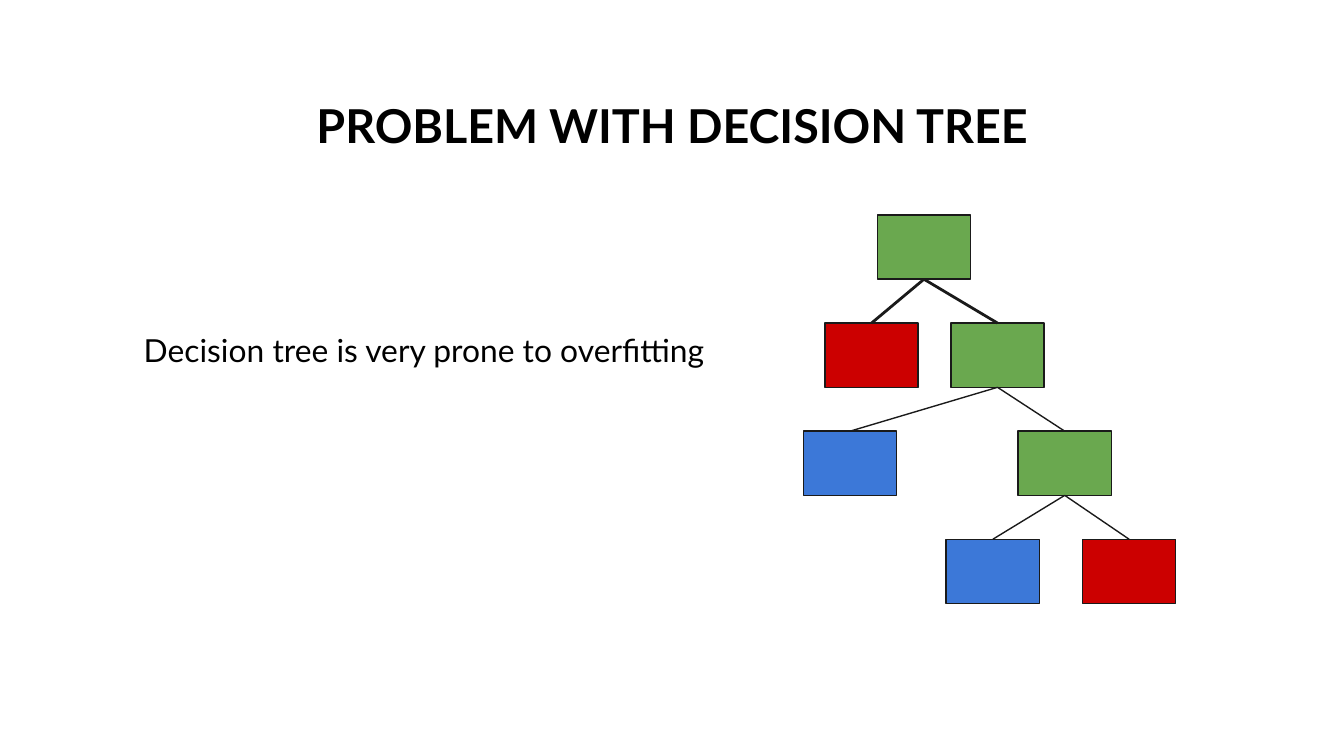
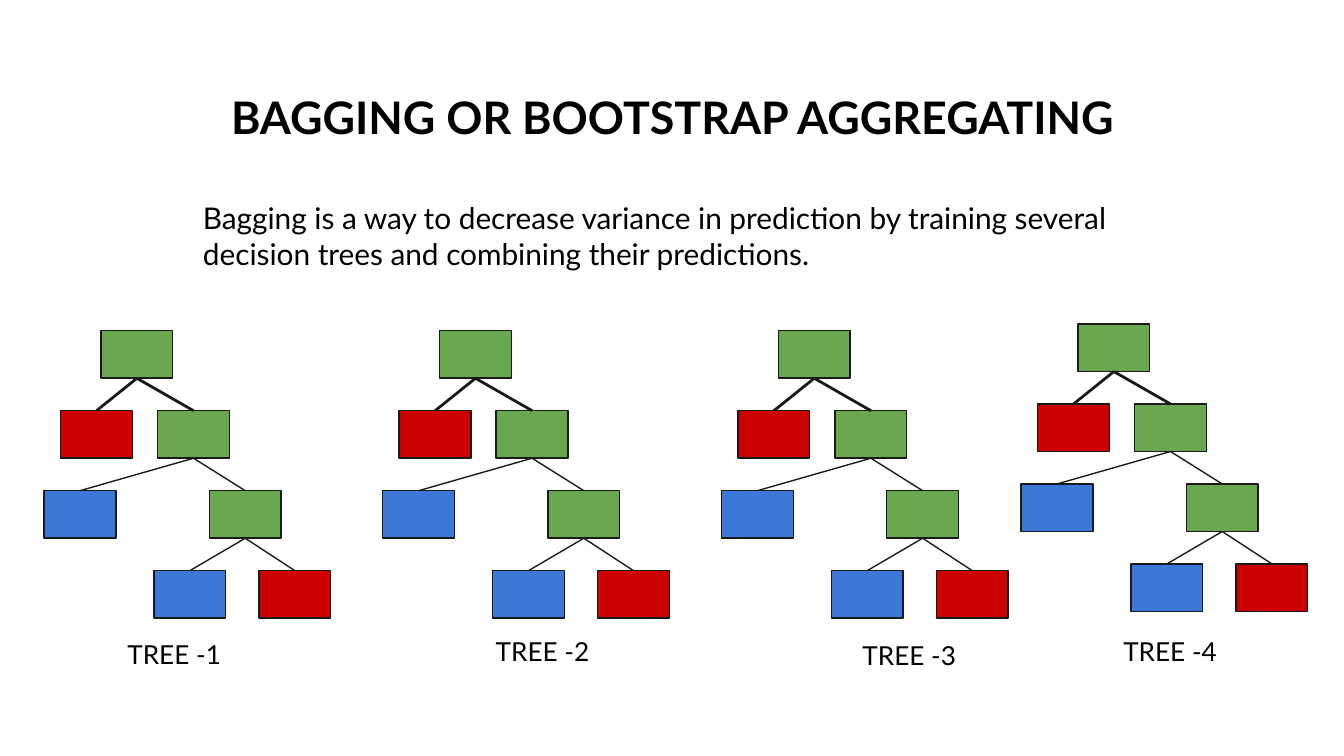
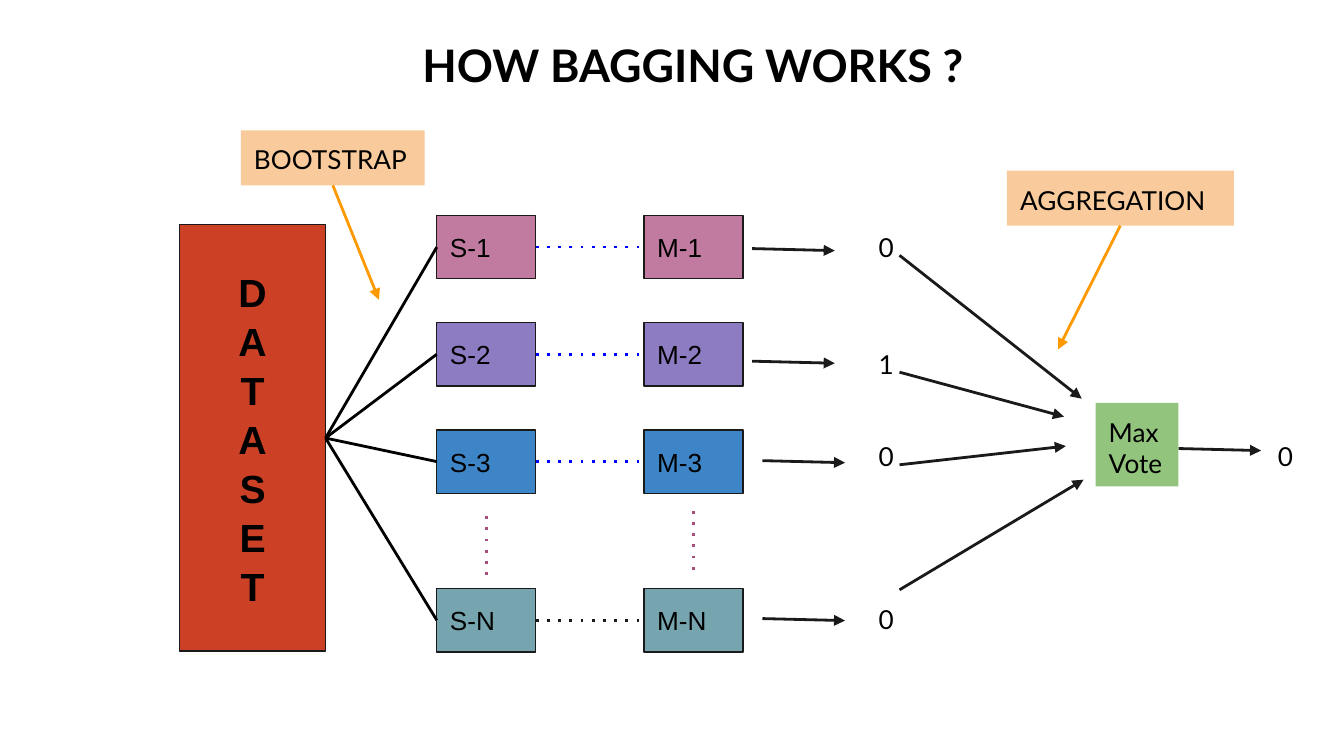
import lxml.etree
import pptx
import pptx.dml.color
import pptx.enum.shapes
import pptx.enum.text
import pptx.oxml.ns
import pptx.util

Pt = pptx.util.Pt
qn = pptx.oxml.ns.qn
ALIGN = pptx.enum.text.PP_ALIGN
ANCHOR = pptx.enum.text.MSO_ANCHOR

# Shared look
COLORS = {
    "text": "000000", "ink": "1A1A1A", "green": "6AA84F", "blue": "3C78D8",
    "red": "CC0000", "dataset": "CC4125", "pink": "C27BA0", "purple": "8E7CC3",
    "azure": "3D85C6", "teal": "76A5AF", "plum": "A64D79", "link": "0000FF",
    "vote": "93C47D", "peach": "F9CB9C", "orange": "FF9900",
}
INSET = 7.2
THIN, THICK = 0.75, 1.5

# Slides 1 and 2: text as (words, box, size)
PROBLEM_TITLE = ("PROBLEM WITH DECISION TREE", (157.5, 44.6, 405, 51), 25)
PROBLEM_BODY = ("Decision tree is very prone to overfitting", (69.8, 170, 322.6, 41), 17)
BAGGING_TITLE = ("BAGGING OR BOOTSTRAP AGGREGATING", (107.8, 41, 504.7, 43.2), 24)
BAGGING_BODY = (
    "Bagging is a way to decrease variance in prediction by training several "
    "decision trees and combining their predictions.",
    (101.5, 100, 507.6, 62), 16)

# Decision tree at full size: node -> (colour, left, level)
TREE_NODES = {
    "root": ("green", 39.6, 0),
    "root no": ("red", 11.5, 1),
    "root yes": ("green", 79, 1),
    "middle no": ("blue", 0, 2),
    "middle yes": ("green", 115, 2),
    "low no": ("blue", 76.5, 3),
    "low yes": ("red", 149.5, 3),
}
TREE_EDGES = [
    ("root", "root no", THICK), ("root", "root yes", THICK),
    ("root yes", "middle no", THIN), ("root yes", "middle yes", THIN),
    ("middle yes", "low no", THIN), ("middle yes", "low yes", THIN),
]
NODE_W, NODE_H, LEVEL_STEP = 50, 34.4, 57.9

PROBLEM_TREE_AT = (430.4, 115.2)
FOREST_SCALE = (0.77, 0.74)
FOREST = [  # label, tree corner, label corner
    ("TREE -1", (23.6, 177.2), (61.2, 334.8)),
    ("TREE -2", (205, 177.2), (258.5, 333.4)),
    ("TREE -3", (386.5, 177.2), (455, 335.5)),
    ("TREE -4", (547, 173.6), (594.7, 333.4)),
]

# Slide 3
WORKS_TITLE = ("HOW BAGGING WORKS ?", (118.8, 13, 504.7, 43.2), 24)
DATASET = ("D\vA\vT\vA\nS\nE\nT", (96.2, 120.4, 78.2, 228.5))
HUB = (174.4, 234.7)
SAMPLE_X, MODEL_X, BOX_W, BOX_H = 234, 345, 53, 34
VOTE_X, VOTE_W, VOTE_H = 463.7, 36, 20
AIM_X = 481.9
ARROW_RUN = (44.2, 1.1)
ROWS = [  # suffix, colour, box top, link, arrow start, vote, vote top, aim from y, aim to
    ("1", "pink", 115.4, "link", (403, 133.2), "0", 116.6, 136.8, (579.5, 213.6)),
    ("2", "purple", 172.8, "link", (403, 193.5), "1", 179.3, 199.4, (570, 223.2)),
    ("3", "azure", 230.3, "link", (408.5, 246.8), "0", 229, 249, (571, 239)),
    ("N", "teal", 315.3, "ink", (408.5, 331.4), "0", 316, 316, (580.5, 257)),
]
MORE_ROWS = [(SAMPLE_X, 276.5), (MODEL_X, 273.6)]
MORE_LENGTH = 31.7
MAX_VOTE = ("Max Vote", (586.9, 215.9, 44.4, 44.7))
VERDICT_ARROW = (631.4, 240.3)
VERDICT = ("0", (677.5, 229, VOTE_W, VOTE_H))
CALLOUTS = [  # label, box, arrow end
    ("BOOTSTRAP", (129, 69.8, 98.6, 29.5), (203, 160.6)),
    ("AGGREGATION", (539.4, 91.4, 121.6, 29.5), (566.8, 187.2)),
]


def rgb(name):
    return pptx.dml.color.RGBColor.from_string(COLORS[name])


def write(shape, words, size, font="Lato", bold=False, align=ALIGN.LEFT,
          anchor=ANCHOR.TOP, spacing=1.0):
    frame = shape.text_frame
    frame.text = words
    frame.word_wrap = True
    frame.auto_size = pptx.enum.text.MSO_AUTO_SIZE.NONE
    frame.vertical_anchor = anchor
    frame.margin_left = frame.margin_right = Pt(INSET)
    frame.margin_top = frame.margin_bottom = Pt(INSET)
    for paragraph in frame.paragraphs:
        paragraph.alignment = align
        paragraph.line_spacing = spacing
        paragraph.space_before = paragraph.space_after = Pt(0)
        paragraph.font.name = font
        paragraph.font.size = Pt(size)
        paragraph.font.bold = bold
        paragraph.font.color.rgb = rgb("text")


def place(shape, box):
    shape.left, shape.top, shape.width, shape.height = map(Pt, box)


def add_slide(deck, layout, title, body=None):
    slide = deck.slides.add_slide(deck.slide_layouts[layout])
    words, box, size = title
    place(slide.shapes.title, box)
    write(slide.shapes.title, words, size, bold=True, align=ALIGN.CENTER)
    if body:
        words, box, size = body
        statement = slide.placeholders[1]
        place(statement, box)
        write(statement, words, size)
        for paragraph in statement.text_frame.paragraphs:
            props = paragraph._p.get_or_add_pPr()
            props.set("marL", "0")
            props.set("indent", "0")
            lxml.etree.SubElement(props, qn("a:buNone"))
    return slide


def add_label(slide, words, box):
    write(slide.shapes.add_textbox(*map(Pt, box)), words, 14)


def add_box(slide, box, fill, outlined=True):
    rect = slide.shapes.add_shape(
        pptx.enum.shapes.MSO_SHAPE.RECTANGLE, *map(Pt, box))
    rect.shadow.inherit = False
    rect.fill.solid()
    rect.fill.fore_color.rgb = rgb(fill)
    if outlined:
        rect.line.color.rgb = rgb("ink")
        rect.line.width = Pt(THIN)
    else:
        rect.line.fill.background()
    return rect


def add_line(slide, start, end, color="ink", width=THICK, dotted=False, arrow=False):
    line = slide.shapes.add_connector(
        pptx.enum.shapes.MSO_CONNECTOR.STRAIGHT, *map(Pt, (*start, *end)))
    line.line.color.rgb = rgb(color)
    line.line.width = Pt(width)
    props = line._element.spPr
    stroke = props.find(qn("a:ln"))
    if dotted:
        lxml.etree.SubElement(stroke, qn("a:prstDash"), val="dot")
    if arrow:
        lxml.etree.SubElement(stroke, qn("a:tailEnd"), type="triangle")
    lxml.etree.SubElement(props, qn("a:effectLst"))


def add_tree(slide, corner, scale=(1, 1)):
    (x0, y0), (sx, sy) = corner, scale
    width, height = NODE_W * sx, NODE_H * sy
    spots = {}
    for node, (fill, left, level) in TREE_NODES.items():
        x, y = x0 + left * sx, y0 + level * LEVEL_STEP * sy
        add_box(slide, (x, y, width, height), fill)
        spots[node] = (x + width / 2, y)
    for parent, child, weight in TREE_EDGES:
        x, y = spots[parent]
        add_line(slide, (x, y + height), spots[child], width=weight)


def build_problem(deck):
    slide = add_slide(deck, 1, PROBLEM_TITLE, PROBLEM_BODY)
    add_tree(slide, PROBLEM_TREE_AT)


def build_bagging(deck):
    slide = add_slide(deck, 1, BAGGING_TITLE, BAGGING_BODY)
    for label, tree_at, label_at in FOREST:
        add_tree(slide, tree_at, FOREST_SCALE)
        add_label(slide, label, (*label_at, 77, 25.2))


def build_works(deck):
    slide = add_slide(deck, 5, WORKS_TITLE)
    run, drop = ARROW_RUN

    # Dataset
    words, box = DATASET
    write(add_box(slide, box, "dataset"), words, 21, "Arial", True,
          ALIGN.CENTER, ANCHOR.MIDDLE, 1.04)

    # Samples, models and their votes
    for suffix, fill, top, link, (x, y), vote, vote_top, aim_y, target in ROWS:
        middle = top + BOX_H / 2
        for letter, left in (("S", SAMPLE_X), ("M", MODEL_X)):
            box = add_box(slide, (left, top, BOX_W, BOX_H), fill)
            write(box, f"{letter}-{suffix}", 14, "Arial", anchor=ANCHOR.MIDDLE)
        add_line(slide, HUB, (SAMPLE_X, middle), "text")
        add_line(slide, (SAMPLE_X + BOX_W, middle), (MODEL_X, middle), link, dotted=True)
        add_line(slide, (x, y), (x + run, y + drop), arrow=True)
        add_label(slide, vote, (VOTE_X, vote_top, VOTE_W, VOTE_H))
        add_line(slide, (AIM_X, aim_y), target, arrow=True)

    # Dotted marks for the rows left out
    for left, top in MORE_ROWS:
        x = left + BOX_W / 2
        add_line(slide, (x, top), (x, top + MORE_LENGTH), "plum", dotted=True)

    # Final vote
    words, box = MAX_VOTE
    write(add_box(slide, box, "vote", outlined=False), words, 14)
    x, y = VERDICT_ARROW
    add_line(slide, (x, y), (x + run, y + drop), arrow=True)
    add_label(slide, *VERDICT)

    # Callouts
    for label, (x, y, width, height), target in CALLOUTS:
        write(add_box(slide, (x, y, width, height), "peach", outlined=False), label, 14)
        add_line(slide, (x + width / 2, y + height), target, "orange", arrow=True)


def main():
    deck = pptx.Presentation()
    deck.slide_width, deck.slide_height = Pt(720), Pt(405)
    build_problem(deck)
    build_bagging(deck)
    build_works(deck)
    deck.save("out.pptx")


if __name__ == "__main__":
    main()
